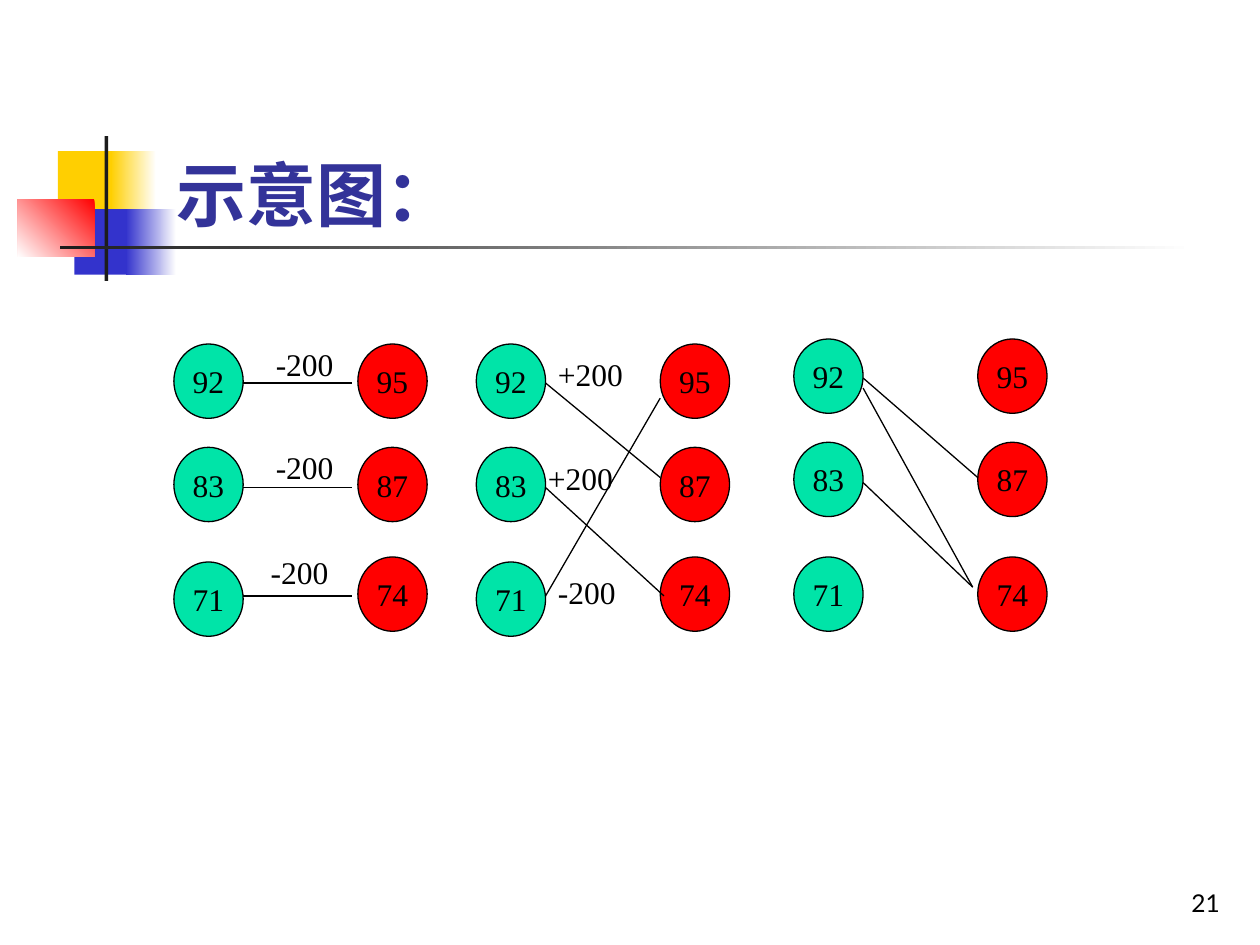
from pptx import Presentation, util as u
from pptx.dml.color import RGBColor
from pptx.enum import shapes, text
from pptx.oxml.ns import qn

BLACK = RGBColor(0x00, 0x00, 0x00)
WHITE = RGBColor(0xFF, 0xFF, 0xFF)
DARK = RGBColor(0x1C, 0x1C, 0x1C)
YELLOW = RGBColor(0xFF, 0xCF, 0x01)
BLUE = RGBColor(0x33, 0x33, 0xCC)
RED = RGBColor(0xFF, 0x00, 0x00)
GREEN = RGBColor(0x00, 0xE4, 0xA8)
TITLE_COLOR = RGBColor(0x33, 0x33, 0x99)

SERIF, SANS = "Times New Roman", "Lato"
NODE_WIDTH, NODE_HEIGHT = 0.55, 0.59
COLUMN_GAP = 1.46


def write(frame, content, size=18, font=SERIF, color=BLACK, bold=False,
          align=text.PP_ALIGN.LEFT, anchor=text.MSO_ANCHOR.TOP, wrap=True):
    frame.word_wrap = wrap
    frame.vertical_anchor = anchor
    paragraph = frame.paragraphs[0]
    paragraph.alignment = align
    run = paragraph.add_run()
    run.text = content
    run.font.size = u.Pt(size)
    run.font.name = font
    run.font.bold = bold
    run.font.color.rgb = color


class Canvas:
    """Draws on the slide, or in a group once one is started."""

    line_width = u.Pt(0.75)

    def __init__(self, slide):
        self.slide = slide
        self.shapes = slide.shapes

    def start_group(self):
        self.shapes = self.slide.shapes.add_group_shape().shapes

    def end_group(self):
        self.shapes = self.slide.shapes

    def shape(self, kind, left, top, width, height):
        shape = self.shapes.add_shape(kind, *map(u.Inches, (left, top, width, height)))
        shape.shadow.inherit = False
        return shape

    def block(self, box, start, end=None, angle=180):
        """A borderless rectangle, solid or fading from start to end."""
        shape = self.shape(shapes.MSO_SHAPE.RECTANGLE, *box)
        shape.line.fill.background()
        if end is None:
            shape.fill.solid()
            shape.fill.fore_color.rgb = start
            return
        shape.fill.gradient()
        shape.fill.gradient_angle = angle
        for stop, color in zip(shape.fill.gradient_stops, (start, end)):
            stop.color.rgb = color

    def node(self, left, top, label, color):
        shape = self.shape(shapes.MSO_SHAPE.OVAL, left, top, NODE_WIDTH, NODE_HEIGHT)
        shape.fill.solid()
        shape.fill.fore_color.rgb = color
        shape.line.color.rgb = BLACK
        shape.line.width = self.line_width
        write(shape.text_frame, label, align=text.PP_ALIGN.CENTER,
              anchor=text.MSO_ANCHOR.MIDDLE, wrap=False)

    def line(self, *ends):
        line = self.shapes.add_connector(shapes.MSO_CONNECTOR.STRAIGHT,
                                         *map(u.Inches, ends))
        line.line.color.rgb = BLACK
        line.line.width = self.line_width
        properties = line._element.spPr
        properties.append(properties.makeelement(qn("a:effectLst"), {}))

    def label(self, box, content, **style):
        shape = self.shapes.add_textbox(*map(u.Inches, box))
        write(shape.text_frame, content, **style)

    def matching(self, left, green_tops, red_tops, edges, weights=()):
        """Two columns of nodes, the edges between them and their weights."""
        self.start_group()
        columns = ((left, GREEN, ("92", "83", "71"), green_tops),
                   (left + COLUMN_GAP, RED, ("95", "87", "74"), red_tops))
        for x, color, names, tops in columns:
            for name, top in zip(names, tops):
                self.node(x, top, name, color)
        for start_y, end_x, end_y in edges:
            self.line(left + NODE_WIDTH, start_y, end_x, end_y)
        for x, y, width, content in weights:
            self.label((x, y, width, 0.4), content)
        self.end_group()


def main():
    presentation = Presentation()
    presentation.slide_width = u.Inches(10)
    presentation.slide_height = u.Inches(7.5)
    canvas = Canvas(presentation.slides.add_slide(presentation.slide_layouts[6]))

    # Corner decoration and rule
    canvas.block((0.46, 1.2, 0.48, 0.52), YELLOW)
    canvas.block((0.88, 1.2, 0.36, 0.52), WHITE, YELLOW)
    canvas.block((0.59, 1.66, 0.46, 0.52), BLUE)
    canvas.block((1, 1.66, 0.4, 0.52), WHITE, BLUE)
    canvas.block((0.14, 1.58, 0.61, 0.46), RED, WHITE, angle=225)
    canvas.block((0.83, 1.08, 0.03, 1.15), DARK)
    canvas.block((0.48, 1.95, 9, 0.03), WHITE, DARK)

    # Title
    canvas.label((1.3, 0.84, 5.95, 1.08), "示意图：", size=40, font=SANS,
                 color=TITLE_COLOR, bold=True, anchor=text.MSO_ANCHOR.BOTTOM)

    # Third step: remaining edges, no weights
    upper_tops = (2.69, 3.51, 4.42)
    canvas.matching(6.3, upper_tops, upper_tops,
                    [(3, 7.76, 3.79), (3.83, 7.72, 4.66), (3.08, 7.72, 4.66)])

    # First step: straight pairs
    green_tops, red_tops = (2.73, 3.55, 4.46), (2.73, 3.55, 4.42)
    canvas.matching(1.38, green_tops, red_tops,
                    [(y, 2.79, y) for y in (3.04, 3.87, 4.73)],
                    [(2.09, 2.69, 0.71, "-200"), (2.09, 3.51, 0.71, "-200"),
                     (2.05, 4.34, 0.71, "-200")])

    # Second step: crossed pairs
    canvas.matching(3.78, green_tops, red_tops,
                    [(3.04, 5.24, 3.79), (3.87, 5.27, 4.73), (4.73, 5.24, 3.16)],
                    [(4.33, 4.5, 0.71, "-200"), (4.25, 3.59, 0.83, "+200"),
                     (4.33, 2.77, 0.79, "+200")])

    # Slide number
    canvas.label((7.7, 6.83, 2.08, 0.5), "21", size=14, font=SANS,
                 align=text.PP_ALIGN.RIGHT, anchor=text.MSO_ANCHOR.BOTTOM)

    presentation.save("out.pptx")


if __name__ == "__main__":
    main()
